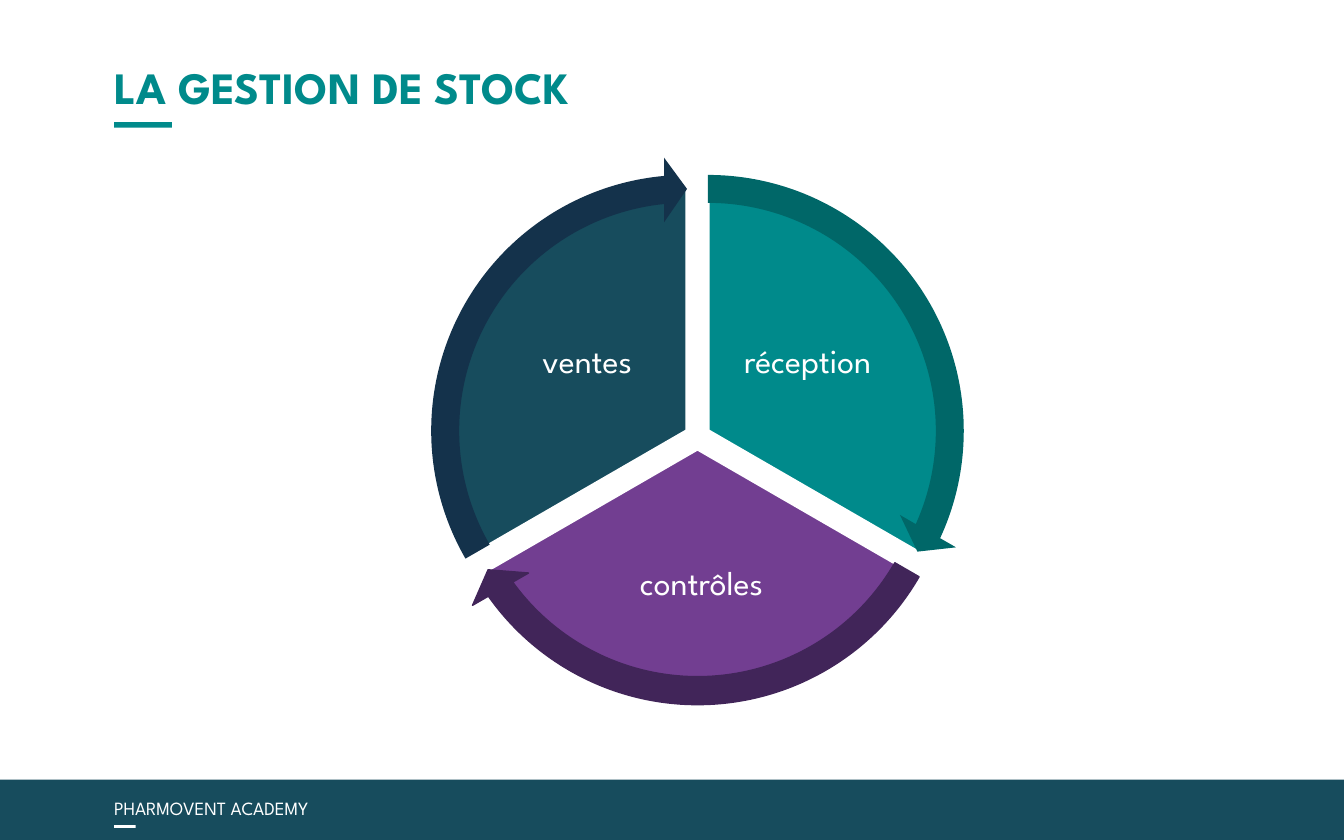
import math
from dataclasses import dataclass

import pptx
import pptx.dml.color
import pptx.enum.shapes
import pptx.enum.text
import pptx.util

Inches = pptx.util.Inches
Pt = pptx.util.Pt
MSO = pptx.enum.shapes.MSO_SHAPE
ANCHOR = pptx.enum.text.MSO_ANCHOR
ALIGN = pptx.enum.text.PP_ALIGN


@dataclass(frozen=True)
class Theme:
    font: str = "League Spartan"
    teal: str = "008A8B"
    navy: str = "174C5D"
    violet: str = "723E91"
    teal_dark: str = "006768"
    navy_dark: str = "14324B"
    violet_dark: str = "412559"
    white: str = "FFFFFF"
    title: int = 24
    label: int = 18
    footer: int = 10


THEME = Theme()
DEGREE = 0.6  # one degree as a shape adjustment value

# name, start angle, fill, arrow fill, arrow outline, label offset from hub, label size
STEPS = [
    ("réception", 270, THEME.teal, THEME.teal_dark, 0, (0.82, -0.55), (1.3, 1.08)),
    ("contrôles", 30, THEME.violet, THEME.violet_dark, 0.75, (0.03, 1.1), (1.95, 0.95)),
    ("ventes", 150, THEME.navy, THEME.navy_dark, 0, (-0.82, -0.55), (1.3, 1.08)),
]


def color(code):
    return pptx.dml.color.RGBColor.from_string(code)


def add_form(slide, kind, box, fill, line=None, width=0, adjust=()):
    form = slide.shapes.add_shape(kind, *map(Inches, box))
    form.shadow.inherit = False
    form.fill.solid()
    form.fill.fore_color.rgb = color(fill)
    if width:
        form.line.color.rgb = color(line)
        form.line.width = Pt(width)
    else:
        form.line.fill.background()
    for i, value in enumerate(adjust):
        form.adjustments[i] = value
    return form


def set_text(shape, text, size, ink, bold=False, align=ALIGN.LEFT,
             anchor=ANCHOR.TOP, inset=None, wrap=True, space=None):
    frame = shape.text_frame
    frame.text = text
    frame.word_wrap = wrap
    frame.auto_size = pptx.enum.text.MSO_AUTO_SIZE.NONE
    frame.vertical_anchor = anchor
    if inset is not None:
        frame.margin_left = frame.margin_right = Inches(inset)
        frame.margin_top = frame.margin_bottom = Inches(inset)
    line = frame.paragraphs[0]
    line.alignment = align
    line.line_spacing = space
    font = line.runs[0].font
    font.name, font.size, font.bold = THEME.font, Pt(size), bold
    font.color.rgb = color(ink)


def add_title(slide, box):
    left, top, width, height = box
    title = slide.shapes.title
    title.left, title.top, title.width, title.height = map(Inches, box)
    set_text(title, "LA GESTION DE STOCK", THEME.title, THEME.teal, bold=True,
             anchor=ANCHOR.BOTTOM, inset=0, space=0.9)
    add_form(slide, MSO.RECTANGLE, (left, top + height + 0.06, 0.43, 0.04), THEME.teal)


def add_footer(slide, box):
    left, top = box[:2]
    add_form(slide, MSO.RECTANGLE, box, THEME.navy)
    add_form(slide, MSO.RECTANGLE, (left + 0.85, top + 0.34, 0.16, 0.02), THEME.white)
    note = slide.shapes.add_textbox(
        *map(Inches, (left + 0.75, top + 0.08, 1.88, 0.27)))
    set_text(note, "PHARMOVENT ACADEMY", THEME.footer, THEME.white, wrap=False)


def add_cycle(slide, box):
    """Three sectors pushed out from the hub, each edged by a curved arrow."""
    left, top, size = box[:3]
    hub = left + size / 2, top + size / 2
    gap, pie, tip = 0.09, size * 0.89, 5.46

    def square(start, side):
        turn = math.radians(start + 60)
        return (hub[0] + gap * math.cos(turn) - side / 2,
                hub[1] + gap * math.sin(turn) - side / 2, side, side)

    for name, start, fill, _, _, shift, (width, height) in STEPS:
        end = (start + 120) % 360
        add_form(slide, MSO.PIE, square(start, pie), fill, THEME.white, 1.75,
                 (start * DEGREE, end * DEGREE))
        spot = (hub[0] + shift[0] - width / 2, hub[1] + shift[1] - height / 2)
        label = slide.shapes.add_textbox(*map(Inches, (*spot, width, height)))
        set_text(label, name, THEME.label, THEME.white, align=ALIGN.CENTER,
                 anchor=ANCHOR.MIDDLE, inset=0.03, space=0.9)

    for _, start, _, dark, edge, _, _ in STEPS:
        end = (start + 120) % 360
        add_form(slide, MSO.CIRCULAR_ARROW, square(start, size), dark, dark, edge,
                 (0.051, tip * DEGREE, (end - tip) * DEGREE, start * DEGREE, 0.059))


def main():
    deck = pptx.Presentation()
    deck.slide_width, deck.slide_height = Inches(10), Inches(6.25)
    slide = deck.slides.add_slide(deck.slide_layouts[5])
    slide.background.fill.solid()
    slide.background.fill.fore_color.rgb = color(THEME.white)
    add_footer(slide, (0, 5.8, 10, 0.45))
    add_title(slide, (0.85, 0.1, 8.67, 0.75))
    add_cycle(slide, (3.15, 1.21, 4.08, 4.08))
    deck.save("out.pptx")


if __name__ == "__main__":
    main()
